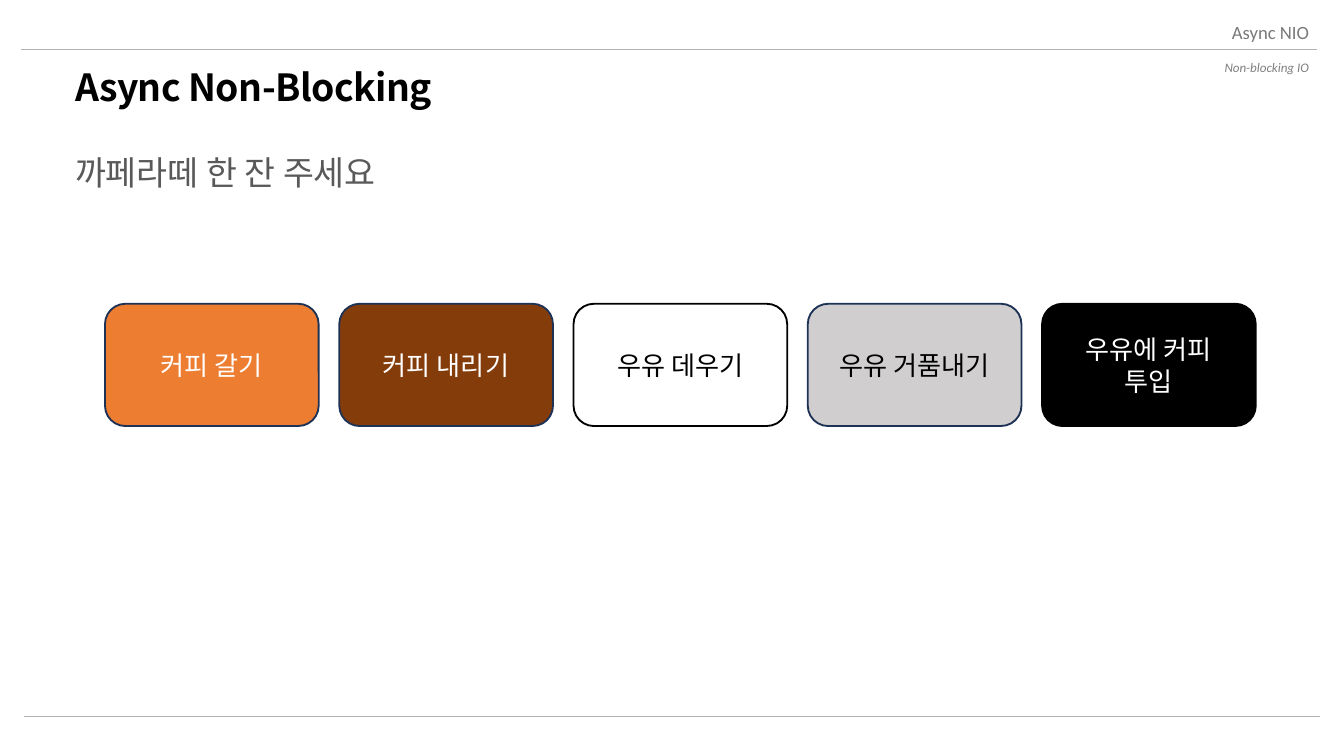
from dataclasses import dataclass

from lxml.etree import SubElement
from pptx import Presentation
from pptx.dml.color import RGBColor
from pptx.enum.shapes import MSO_CONNECTOR, MSO_SHAPE
from pptx.enum.text import MSO_ANCHOR as ANCHOR, MSO_AUTO_SIZE, PP_ALIGN as ALIGN
from pptx.oxml.ns import qn
from pptx.util import Pt

BLACK = RGBColor(0x00, 0x00, 0x00)
WHITE = RGBColor(0xFF, 0xFF, 0xFF)
RULE_GRAY = RGBColor(0xB3, 0xB3, 0xB3)
BODY_GRAY = RGBColor(0x59, 0x59, 0x59)
CHAPTER_GRAY = RGBColor(0x79, 0x79, 0x79)
SECTION_GRAY = RGBColor(0x80, 0x80, 0x80)
NAVY = RGBColor(0x1E, 0x32, 0x56)
ORANGE = RGBColor(0xED, 0x7D, 0x31)
BROWN = RGBColor(0x84, 0x3C, 0x0B)
FOAM_GRAY = RGBColor(0xD0, 0xCE, 0xCE)

LATIN = "Calibri"
KOREAN = "Noto Sans CJK KR"

STEP_LEFT, STEP_TOP = 56.25, 162.75
STEP_WIDTH, STEP_HEIGHT = 114.5, 65.5
STEP_PITCH = 125.5


@dataclass(frozen=True)
class Rule:
    left: float
    y: float
    width: float = 694


@dataclass(frozen=True)
class Step:
    label: str
    fill: RGBColor
    line: RGBColor = NAVY
    color: RGBColor = WHITE


RULES = [Rule(11.5, 26.5), Rule(13, 383.75)]

STEPS = [
    Step("커피 갈기", ORANGE),
    Step("커피 내리기", BROWN),
    Step("우유 데우기", WHITE, BLACK, BLACK),
    Step("우유 거품내기", FOAM_GRAY, NAVY, BLACK),
    Step("우유에 커피 투입", BLACK, BLACK),
]


def place(sp, left: float, top: float, width: float, height: float) -> None:
    box = {"left": left, "top": top, "width": width, "height": height}
    for name, value in box.items():
        setattr(sp, name, Pt(value))


def write(sp, text: str, size: float, color: RGBColor, face: str = LATIN,
          align=ALIGN.LEFT, anchor=ANCHOR.MIDDLE, spacing: float = 1.0,
          bold: bool = False, italic: bool = False):
    """Fill the shape with one formatted run and return that run."""
    tf = sp.text_frame
    frame = {"word_wrap": True, "auto_size": MSO_AUTO_SIZE.NONE,
             "vertical_anchor": anchor}
    for name, value in frame.items():
        setattr(tf, name, value)
    p = tf.paragraphs[0]
    paragraph = {"alignment": align, "line_spacing": spacing, "space_before": Pt(0)}
    for name, value in paragraph.items():
        setattr(p, name, value)
    r = p.add_run()
    r.text = text
    font = {"name": face, "size": Pt(size), "bold": bold, "italic": italic}
    for name, value in font.items():
        setattr(r.font, name, value)
    r.font.color.rgb = color
    SubElement(r.font._element, qn("a:ea"), typeface=KOREAN)
    return r


def remove_bullet(p) -> None:
    pPr = p._p.get_or_add_pPr()
    pPr.set("marL", "0")
    pPr.set("indent", "0")
    SubElement(pPr, qn("a:buNone"))


def draw_rule(slide, rule: Rule) -> None:
    y = Pt(rule.y)
    line = slide.shapes.add_connector(
        MSO_CONNECTOR.STRAIGHT, Pt(rule.left), y, Pt(rule.left + rule.width), y)
    line.line.color.rgb = RULE_GRAY
    line.line.width = Pt(0.5)
    SubElement(line._element.spPr, qn("a:effectLst"))


def draw_header(slide, top: float, text: str, size: float, color: RGBColor,
                italic: bool = False) -> None:
    sp = slide.shapes.add_textbox(Pt(509), Pt(top), Pt(192.25), Pt(17.25))
    sp.text_frame.margin_right = 0
    write(sp, text, size, color, align=ALIGN.RIGHT, italic=italic)


def draw_step(slide, index: int, step: Step) -> None:
    sp = slide.shapes.add_shape(
        MSO_SHAPE.ROUNDED_RECTANGLE, Pt(STEP_LEFT + index * STEP_PITCH),
        Pt(STEP_TOP), Pt(STEP_WIDTH), Pt(STEP_HEIGHT))
    sp.shadow.inherit = False
    sp.fill.solid()
    sp.fill.fore_color.rgb = step.fill
    sp.line.color.rgb = step.line
    sp.line.width = Pt(1)
    write(sp, step.label, 14, step.color, align=ALIGN.CENTER)


def main() -> None:
    prs = Presentation()
    prs.slide_width, prs.slide_height = Pt(720), Pt(405)
    slide = prs.slides.add_slide(prs.slide_layouts[1])

    for rule in RULES:
        draw_rule(slide, rule)

    title = slide.shapes.title
    place(title, 33, 31, 669, 34)
    r = write(title, "Async Non-Blocking", 20, BLACK, KOREAN, spacing=0.9, bold=True)
    r.font._element.set("spc", "-30")

    body = slide.placeholders[1]
    place(body, 33, 73.5, 669, 304.5)
    remove_bullet(body.text_frame.paragraphs[0])
    write(body, "까페라떼 한 잔 주세요", 18, BODY_GRAY, KOREAN,
          anchor=ANCHOR.TOP, spacing=1.2)

    draw_header(slide, 8.75, "Async NIO", 10, CHAPTER_GRAY)
    draw_header(slide, 27.5, "Non-blocking IO", 7, SECTION_GRAY, italic=True)

    for index, step in enumerate(STEPS):
        draw_step(slide, index, step)

    prs.save("out.pptx")


if __name__ == "__main__":
    main()
